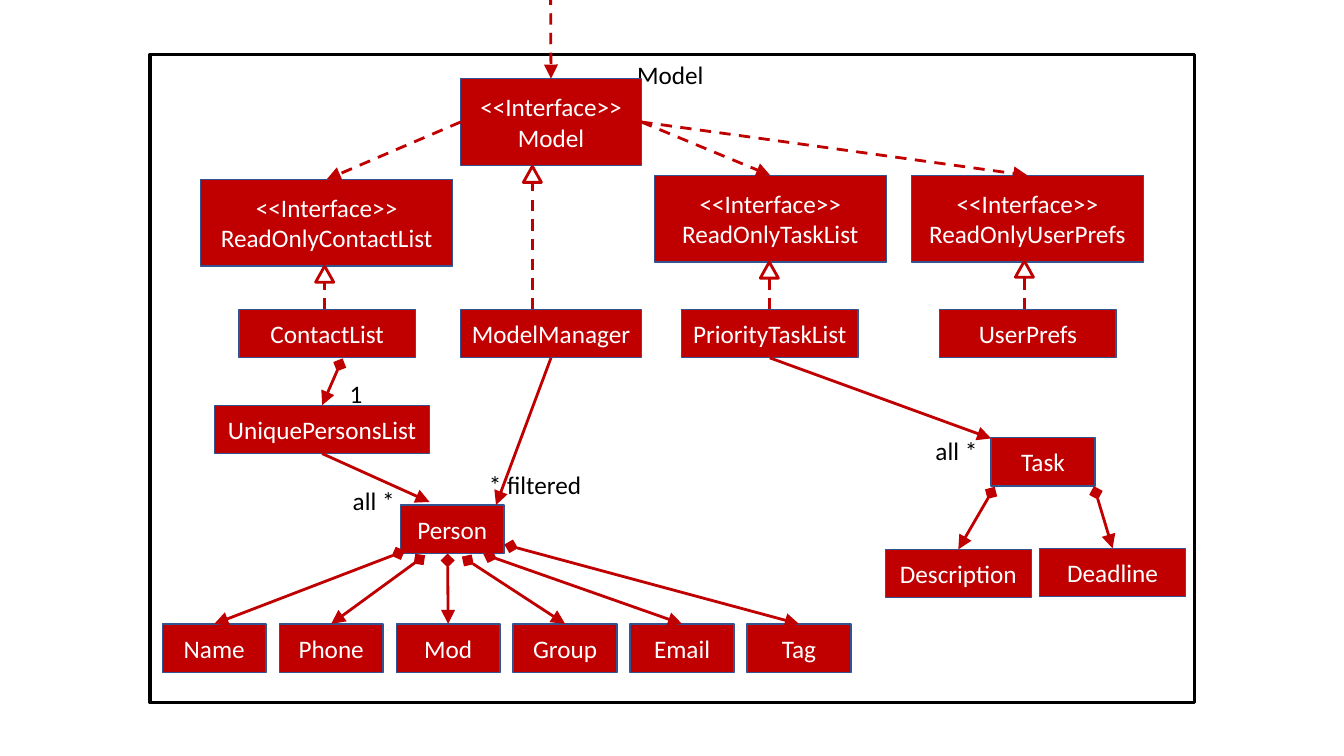
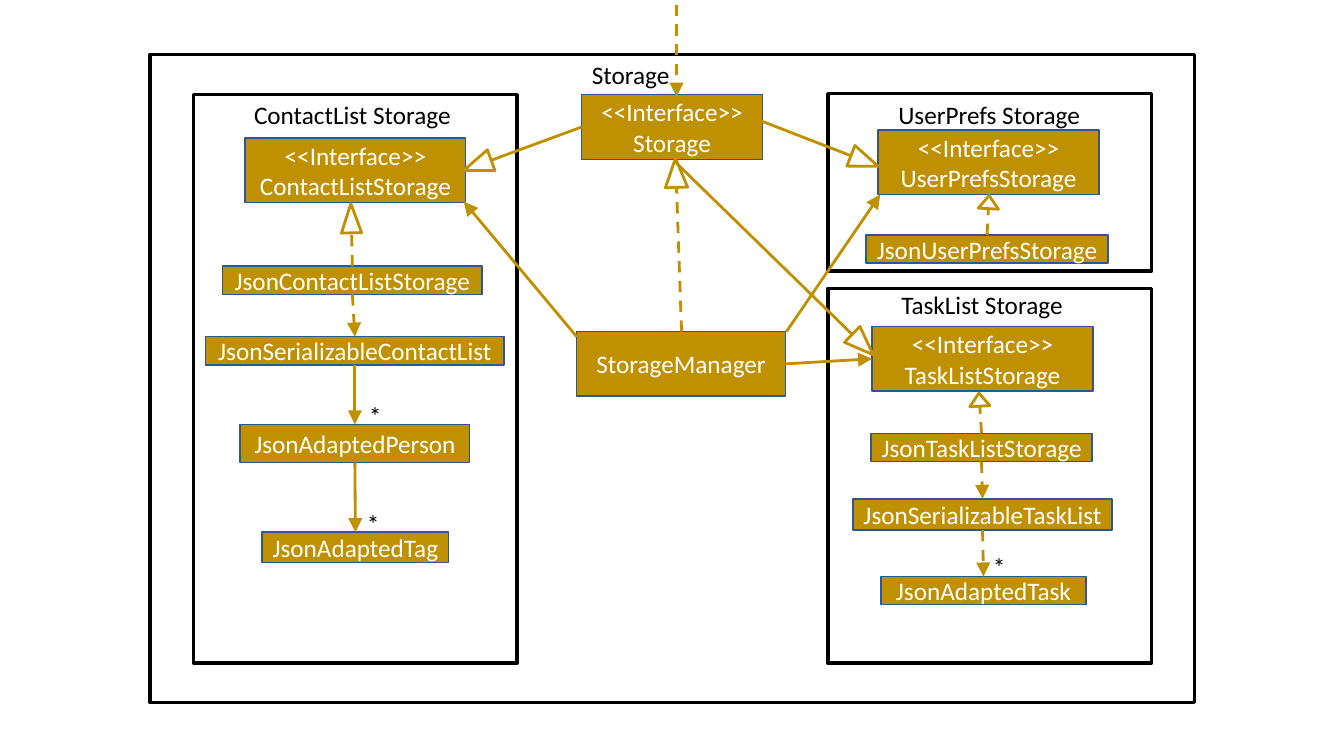
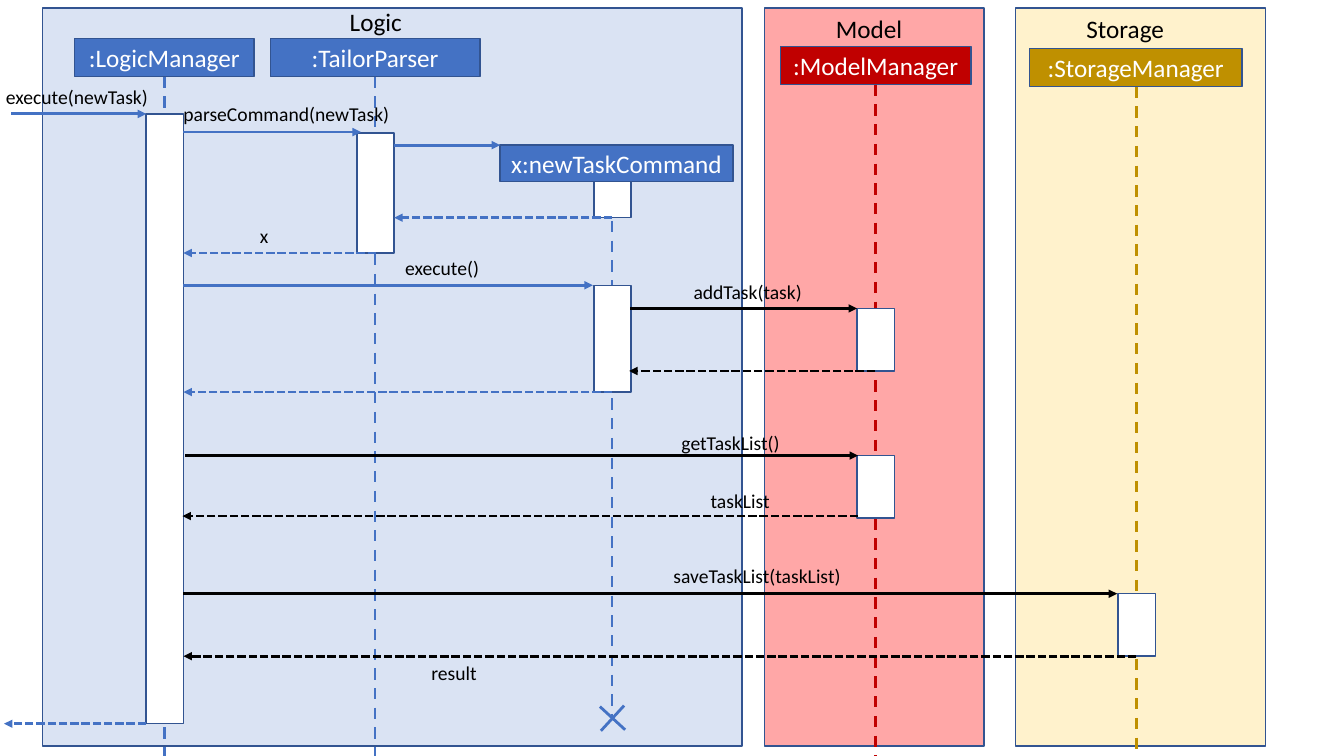
from math import hypot

from lxml.etree import SubElement
from pptx import Presentation
from pptx.dml.color import RGBColor
from pptx.enum.dml import MSO_LINE
from pptx.enum.shapes import MSO_CONNECTOR, MSO_SHAPE
from pptx.enum.text import MSO_ANCHOR, PP_ALIGN
from pptx.oxml.ns import qn
from pptx.util import Inches, Pt

INK = {
    "black": "000000", "white": "FFFFFF", "edge": "325491",
    "red": "C00000", "gold": "BF9000", "blue": "4472C4",
    "pink": "FFA7A7", "cream": "FFF2CC", "sky": "DAE3F3",
}
FONT = "Calibri"
FRAME = (1.49, 0.54, 10.36, 6.43)
TOP, LEFT, BOTTOM, RIGHT = range(4)  # connection sites of a rectangle
DASH, SHORT = MSO_LINE.DASH, MSO_LINE.SQUARE_DOT


def paint(name):
    return RGBColor.from_string(INK[name])


class Area:
    """A region of a slide; all lengths count from its top left corner."""

    def __init__(self, slide, box, tint="black"):
        self.slide, self.shapes, self.tint = slide, slide.shapes, tint
        self.x, self.y, self.w, self.h = box

    def place(self, x, y):
        return Inches(self.x + x), Inches(self.y + y)

    def inner(self, x, y, w, h):
        return Area(self.slide, (self.x + x, self.y + y, w, h), self.tint)

    def rect(self, x, y, w, h, fill=None, edge="edge", width=1):
        shape = self.shapes.add_shape(
            MSO_SHAPE.RECTANGLE, *self.place(x, y), Inches(w), Inches(h))
        shape.shadow.inherit = False
        if fill:
            shape.fill.solid()
            shape.fill.fore_color.rgb = paint(fill)
        else:
            shape.fill.background()
        shape.line.color.rgb = paint(edge)
        shape.line.width = Pt(width)
        return shape

    def border(self):
        return self.rect(0, 0, self.w, self.h, edge="black", width=2.5)

    def letter(self, shape, text, ink, size, align):
        frame = shape.text_frame
        frame.word_wrap = True
        para = frame.paragraphs[0]
        para.text = text
        para.alignment = align
        for run in para.runs:
            run.font.name, run.font.size = FONT, Pt(size)
            run.font.color.rgb = paint(ink)
        return frame

    def node(self, text, x, y, w, h=0.48):
        shape = self.rect(x, y, w, h, self.tint)
        frame = self.letter(shape, text, "white", 18, PP_ALIGN.CENTER)
        frame.vertical_anchor = MSO_ANCHOR.MIDDLE
        frame.margin_left = frame.margin_right = Inches(0.05)
        return shape

    def label(self, text, x, y, w, size=18, align=PP_ALIGN.LEFT):
        box = self.shapes.add_textbox(
            *self.place(x, y), Inches(w), Inches(0.4 if size == 18 else 0.34))
        self.letter(box, text, "black", size, align)

    def line(self, start, end, dash=None, head=None, tail=None,
             size="lg", tint=None):
        """Each end is a point or a pair of shape and connection site."""
        ends = (start, end)
        glued = [not isinstance(e[0], (int, float)) for e in ends]
        spots = [(0, 0) if g else self.place(*e) for g, e in zip(glued, ends)]
        link = self.shapes.add_connector(
            MSO_CONNECTOR.STRAIGHT, *spots[0], *spots[1])
        if glued[0]:
            link.begin_connect(*start)
        if glued[1]:
            link.end_connect(*end)
        link.line.color.rgb = paint(tint or self.tint)
        link.line.width = Pt(2)
        if dash:
            link.line.dash_style = dash
        props = link.element.spPr
        for tag, kind in (("a:headEnd", head), ("a:tailEnd", tail)):
            if kind:
                SubElement(props.find(qn("a:ln")), qn(tag),
                           type=kind, w=size, len=size)
        SubElement(props, qn("a:effectLst"))

    def arrow(self, start, end, dash=None, **more):
        self.line(start, end, dash, tail="triangle", **more)

    def hollow(self, start, tip, reach, half, dash=None):
        """A line that ends in an open triangle."""
        (x, y), (a, b) = start, tip
        span = hypot(a - x, b - y)
        u, v = (a - x) / span, (b - y) / span
        base = (a - reach * u, b - reach * v)
        self.line(start, base, dash)
        wings = [self.place(base[0] - s * v, base[1] + s * u)
                 for s in (half, -half)]
        outline = self.shapes.build_freeform(*self.place(*tip))
        outline.add_line_segments(wings, close=True)
        head = outline.convert_to_shape()
        head.shadow.inherit = False
        head.fill.background()
        head.line.color.rgb = paint(self.tint)
        head.line.width = Pt(2)


def face(name):
    return "<<Interface>>\n" + name


# Class diagram of the model
def model(slide, box):
    area = Area(slide, box, "red")
    area.border()
    area.label("Model", 4.73, 0, 0.89)

    # Interfaces
    main = area.node(face("Model"), 3.08, 0.24, 1.79, 0.86)
    area.arrow((3.97, -0.8), (main, TOP), DASH)
    for name, x, y, w, side in (
            ("ReadOnlyUserPrefs", 7.55, 1.2, 2.3, RIGHT),
            ("ReadOnlyTaskList", 5, 1.2, 2.3, RIGHT),
            ("ReadOnlyContactList", 0.5, 1.24, 2.5, LEFT)):
        view = area.node(face(name), x, y, w, 0.86)
        area.arrow((main, side), (view, TOP), DASH)

    # Classes that implement them
    made = {}
    for name, x, w, mid, tip in (
            ("ContactList", 0.88, 1.75, 1.73, 2.1),
            ("ModelManager", 3.08, 1.79, 3.79, 1.11),
            ("PriorityTaskList", 5.27, 1.75, 6.14, 2.06),
            ("UserPrefs", 7.83, 1.75, 8.67, 2.05)):
        made[name] = area.node(name, x, 2.53, w)
        area.hollow((mid, 2.53), (mid, tip), 0.16, 0.09, DASH)

    # Persons and tasks
    people = area.node("UniquePersonsList", 0.64, 3.48, 2.13)
    area.node("Person", 2.48, 4.47, 1.03)
    area.node("Task", 8.34, 3.8, 1.03)
    area.arrow((made["ModelManager"], BOTTOM), (3.43, 4.47))
    area.arrow((people, BOTTOM), (2.77, 4.44))
    area.arrow((made["PriorityTaskList"], BOTTOM), (8.34, 3.81))
    area.arrow((1.88, 3.08), (people, TOP), head="diamond")

    # Parts of a person and of a task
    fan = (("Name", 2.46, 4.95), ("Phone", 2.67, 5.01), ("Mod", 2.95, 5.02),
           ("Group", 3.15, 5.02), ("Email", 3.37, 4.98), ("Tag", 3.58, 4.88))
    parts = [(name, 0.12 + 1.16 * i, 5.65, 1.03, (x, y))
             for i, (name, x, y) in enumerate(fan)]
    parts += [("Description", 7.29, 4.91, 1.45, (8.34, 4.35)),
              ("Deadline", 8.82, 4.9, 1.45, (9.38, 4.35))]
    for name, x, y, w, start in parts:
        part = area.node(name, x, y, w)
        area.arrow(start, (part, TOP), head="diamond")

    # Counts
    for text, x, y, w in (
            ("1", 1.88, 3.16, 0.65), ("all *", 1.91, 4.23, 0.65),
            ("* filtered", 3.26, 4.07, 1.23), ("all *", 7.69, 3.73, 0.65)):
        area.label(text, x, y, w)


# One framed part of the storage diagram
def panel(area, title, nodes, tip, reach, dashed=0, stars=()):
    area.border()
    area.label(*title, align=PP_ALIGN.CENTER)
    chain = [area.node(*node) for node in nodes]
    _, x, y, w, _ = nodes[1]
    area.hollow((x + w / 2, y), tip, reach, 0.1, DASH)
    for i, (one, two) in enumerate(zip(chain[1:], chain[2:])):
        area.arrow((one, BOTTOM), (two, TOP), DASH if i < dashed else None)
    for star in stars:
        area.label("*", *star, 0.33)
    return chain[0]


# Class diagram of the storage
def storage(slide, box):
    area = Area(slide, box, "gold")
    area.border()
    area.node(face("Storage"), 4.28, 0.4, 1.79, 0.64)
    area.label("Storage", 4.27, 0, 0.99, align=PP_ALIGN.CENTER)

    panel(area.inner(0.43, 0.4, 3.21, 5.64),
          ("ContactList Storage", 0.48, 0, 2.19),
          [(face("ContactListStorage"), 0.51, 0.43, 2.19, 0.64),
           ("JsonContactListStorage", 0.29, 1.7, 2.57, 0.28),
           ("JsonSerializableContactList", 0.12, 2.4, 2.96, 0.28),
           ("JsonAdaptedPerson", 0.46, 3.27, 2.28, 0.38),
           ("JsonAdaptedTag", 0.68, 4.34, 1.85, 0.3)],
          (1.56, 1.08), 0.29, 1, [(1.64, 2.98), (1.62, 4.05)])
    panel(area.inner(6.72, 0.39, 3.21, 1.76),
          ("UserPrefs Storage", 0.56, 0.01, 2.08),
          [(face("UserPrefsStorage"), 0.5, 0.36, 2.19, 0.64),
           ("JsonUserPrefsStorage", 0.38, 1.4, 2.4, 0.28)],
          (1.6, 1.01), 0.13)
    tasks = panel(
        area.inner(6.72, 2.32, 3.21, 3.72),
        ("TaskList Storage", 0.6, -0.04, 1.86),
        [(face("TaskListStorage"), 0.44, 0.38, 2.19, 0.64),
         ("JsonTaskListStorage", 0.43, 1.44, 2.19, 0.28),
         ("JsonSerializableTaskList", 0.25, 2.09, 2.57, 0.31),
         ("JsonAdaptedTask", 0.53, 2.86, 2.03, 0.28)],
        (1.5, 1.04), 0.13, 2, [(1.54, 2.56)])

    # Links between the panels
    boss = area.node("StorageManager", 4.23, 2.75, 2.07, 0.64)
    area.arrow((5.22, -0.69), (5.22, 0.42), DASH)
    for start, tip, dash in (
            ((4.28, 0.72), (3.11, 1.15), None),
            ((6.06, 0.66), (7.22, 1.11), None),
            ((5.2, 1.06), (7.17, 2.98), None),
            ((5.27, 2.75), (5.21, 1.03), DASH)):
        area.hollow(start, tip, 0.29, 0.11, dash)
    area.arrow((4.23, 2.8), (3.11, 1.46))
    area.arrow((6.31, 2.75), (7.24, 1.39))
    area.arrow((boss, RIGHT), (tasks, LEFT))


# One lane of the sequence: heads, lifelines and activity bars
def lane(slide, box, tint, back, title, align, heads):
    area = Area(slide, box, tint)
    area.rect(0, 0, area.w, area.h, back)
    area.label(*title, 2.18, align=align)
    for text, x, y, w, h, mid, end, bars in heads:
        area.node(text, x, y, w, h)
        area.line((mid, y + h), (mid, end), DASH)
        for top, tall in bars:
            area.rect(mid - 0.18, top, 0.37, tall, "white")


# Messages of the sequence
def calls(slide, box):
    area = Area(slide, box, "blue")
    for x, end, y, tint, dash in (
            (0.11, 1.45, 1.13, "blue", None),
            (1.82, 3.58, 1.31, "blue", None),
            (3.91, 4.96, 1.44, "blue", None),
            (6.07, 3.91, 2.16, "blue", SHORT),
            (3.73, 1.82, 2.51, "blue", SHORT),
            (1.82, 5.88, 2.83, "blue", None),
            (6.25, 8.5, 3.06, "black", None),
            (8.68, 6.24, 3.68, "black", SHORT),
            (6.07, 1.82, 3.89, "blue", SHORT),
            (1.84, 8.51, 4.52, "black", None),
            (8.51, 1.81, 5.12, "black", SHORT),
            (1.82, 11.08, 5.89, "black", None),
            (11.27, 1.82, 6.51, "black", SHORT),
            (1.45, 0.04, 7.18, "blue", SHORT)):
        area.arrow((x, y), (end, y), dash, size="med", tint=tint)
    for text, x, y, w in (
            ("execute(newTask)", -0.04, 0.79, 2.09),
            ("parseCommand(newTask)", 1.72, 0.96, 2.29),
            ("x", 2.48, 2.17, 0.32),
            ("execute()", 3.92, 2.49, 2.09),
            ("addTask(task)", 6.78, 2.73, 2.09),
            ("getTaskList()", 6.66, 4.23, 2.09),
            ("taskList", 6.95, 4.8, 1.46),
            ("saveTaskList(taskList)", 6.58, 5.55, 2.09),
            ("result", 4.18, 6.51, 2.09)):
        area.label(text, x, y, w, 14)

    # Cross where the command ends
    area.line((5.95, 7.01), (6.2, 7.24))
    area.line((6.19, 7), (5.96, 7.25))


# Sequence diagram across the three parts
def sequence(slide, box):
    x, y, _, _ = box
    top, tall = y + 0.08, 7.32
    lane(slide, (x + 0.42, top, 6.94, tall), "blue", "sky",
         ("Logic", 2.95, -0.07), PP_ALIGN.LEFT,
         [(":LogicManager", 0.32, 0.3, 1.78, 0.38, 1.21, 7.73,
           [(1.05, 6.05)]),
          (":TailorParser", 2.26, 0.3, 2.08, 0.38, 3.3, 7.73,
           [(1.24, 1.19)]),
          ("x:newTaskCommand", 4.54, 1.36, 2.31, 0.36, 5.65, 7.04,
           [(1.72, 0.36), (2.75, 1.06)])])
    lane(slide, (x + 7.58, top, 2.18, tall), "red", "pink",
         ("Model", -0.05, 0), PP_ALIGN.CENTER,
         [(":ModelManager", 0.16, 0.38, 1.89, 0.38, 1.1, 7.73,
           [(2.98, 0.62), (4.44, 0.62)])])
    lane(slide, (x + 10.07, top, 2.48, tall), "gold", "cream",
         ("Storage", 0, 0), PP_ALIGN.CENTER,
         [(":StorageManager", 0.14, 0.4, 2.11, 0.38, 1.2, 7.5,
           [(5.81, 0.62)])])
    calls(slide, box)


def main():
    deck = Presentation()
    deck.slide_width, deck.slide_height = Inches(13.33), Inches(7.5)
    for draw, box in ((model, FRAME), (storage, FRAME),
                      (sequence, (0, 0, 13.33, 7.5))):
        draw(deck.slides.add_slide(deck.slide_layouts[6]), box)
    deck.save("out.pptx")


if __name__ == "__main__":
    main()
